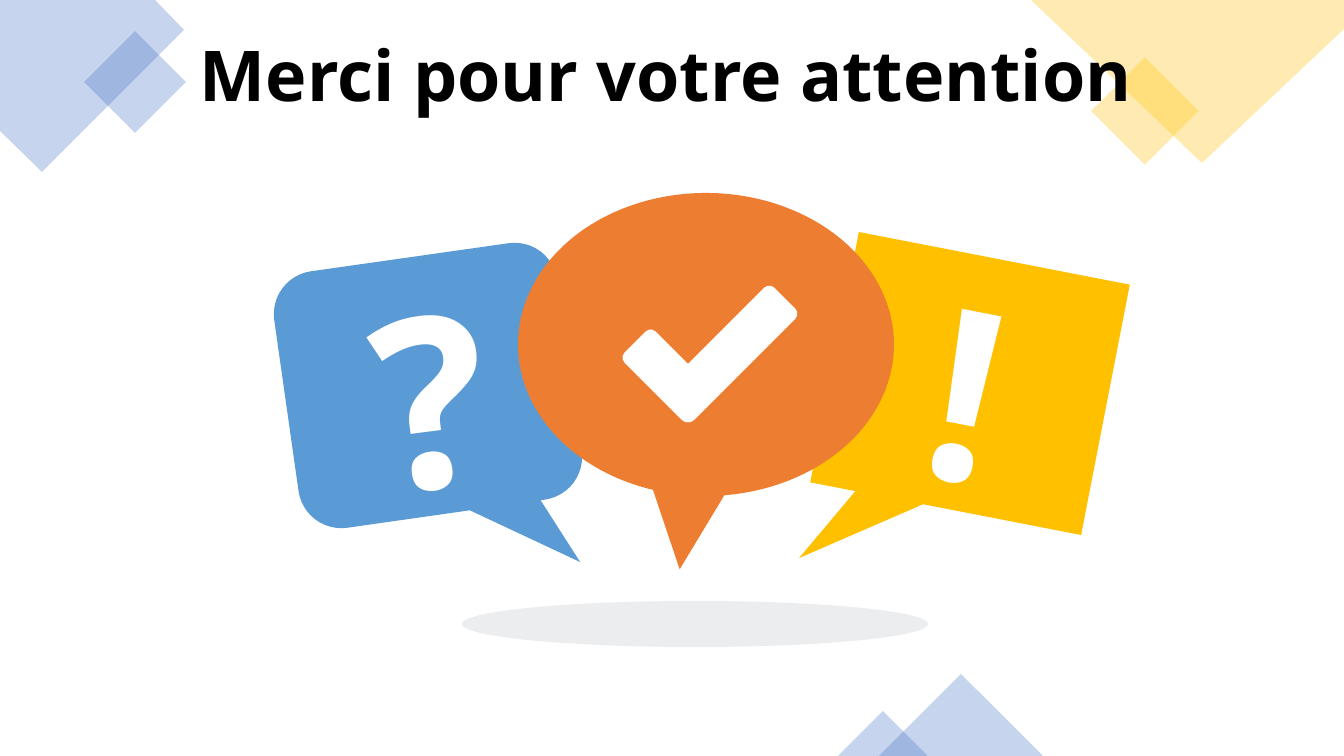
from dataclasses import dataclass

from pptx import Presentation
from pptx.dml.color import RGBColor
from pptx.enum.shapes import MSO_SHAPE as Preset
from pptx.enum.text import MSO_ANCHOR as Anchor, MSO_AUTO_SIZE as AutoSize, PP_ALIGN as Align
from pptx.oxml.xmlchemy import OxmlElement
from pptx.util import Pt

PX = 914400 / 100.8


@dataclass(frozen=True)
class Theme:
    font: str = "Noto Sans"
    title_size: int = 50
    mark_size: int = 170
    ink: str = "000000"
    white: str = "FFFFFF"
    navy: str = "4472C4"
    gold: str = "FFC000"
    sky: str = "5B9BD5"
    orange: str = "ED7D31"
    slate: str = "44546A"


THEME = Theme()


def emu(*lengths):
    return [round(length * PX) for length in lengths]


def paint(shape, color, opacity=100):
    """Give a shape a plain fill, with no line and no shadow."""
    shape.shadow.inherit = False
    shape.line.fill.background()
    shape.fill.solid()
    shape.fill.fore_color.rgb = RGBColor.from_string(color)
    if opacity < 100:
        alpha = OxmlElement("a:alpha")
        alpha.set("val", str(opacity * 1000))
        shape.fill._xPr.find(".//{*}srgbClr").append(alpha)


def add_preset(shapes, preset, box, color, opacity=100, rotation=0, adjustments=()):
    shape = shapes.add_shape(preset, *emu(*box))
    paint(shape, color, opacity)
    shape.rotation = rotation
    for index, value in enumerate(adjustments):
        shape.adjustments[index] = value
    return shape


def add_outline(shapes, origin, points, color, opacity):
    builder = shapes.build_freeform(*points[0], scale=PX)
    builder.add_line_segments(points[1:], close=True)
    paint(builder.convert_to_shape(*emu(*origin)), color, opacity)


def write(shape, text, size, color):
    frame = shape.text_frame
    frame_format = {"word_wrap": True, "auto_size": AutoSize.NONE, "vertical_anchor": Anchor.MIDDLE}
    for name, value in frame_format.items():
        setattr(frame, name, value)
    para = frame.paragraphs[0]
    para.alignment = Align.CENTER
    span = para.add_run()
    span.text = text
    for name, value in {"name": THEME.font, "size": Pt(size), "bold": True}.items():
        setattr(span.font, name, value)
    span.font.color.rgb = RGBColor.from_string(color)


def add_corner(shapes, box, outline, square, color):
    """Place a cut-off diamond and a small tilted square in a corner."""
    left, top = box
    dx, dy, side = square
    add_outline(shapes, box, outline, color, 30)
    add_preset(shapes, Preset.RECTANGLE, (left + dx, top + dy, side, side), color, 30, 315)


def add_peaks(shapes, box):
    left, top, width, height = box
    for dx, peak_width, peak_height in ((41, 164, 82), (0, 90, 45)):
        peak = (left + dx, top + height - peak_height, peak_width, peak_height)
        add_preset(shapes, Preset.ISOSCELES_TRIANGLE, peak, THEME.navy, 30)


def add_check(shapes, box):
    left, top = box
    group = shapes.add_group_shape()
    for dx, dy, length, angle in ((0, 22, 96, 45), (29, 0, 158, 135)):
        bar = (left + dx, top + dy, length, 44)
        add_preset(group.shapes, Preset.ROUNDED_RECTANGLE, bar, THEME.white, rotation=angle)


def add_mark(shapes, box, text, rotation):
    mark = shapes.add_textbox(*emu(*box))
    mark.rotation = rotation
    write(mark, text, THEME.mark_size, THEME.white)


def add_bubbles(shapes, box):
    """Place the three speech bubbles, their signs and the ground shadow."""
    left, top = box
    bubbles = (
        (Preset.ROUNDED_RECTANGULAR_CALLOUT, (0, 63, 286, 259), THEME.sky, 351.9, (0.44, 0.758, 0.167)),
        (Preset.RECTANGULAR_CALLOUT, (547, 63, 276, 255), THEME.gold, 11, (-0.487, 0.8)),
        (Preset.OVAL_CALLOUT, (233, 0, 376, 303), THEME.orange, 0, (-0.07, 0.742)),
    )
    for preset, (dx, dy, width, height), color, angle, tail in bubbles:
        bubble = (left + dx, top + dy, width, height)
        add_preset(shapes, preset, bubble, color, rotation=angle, adjustments=tail)
    add_check(shapes, (left + 336, top + 139))
    for text, dx, dy, angle in (("!", 542, 44, 10.9), ("?", 4, 51, 352.6)):
        add_mark(shapes, (left + dx, top + dy, 283, 298), text, angle)
    add_preset(shapes, Preset.OVAL, (left + 177, top + 408, 466, 46), THEME.slate, 10)


def place_title(page, box, text):
    title = page.shapes.title
    for name, value in zip(("left", "top", "width", "height"), emu(*box)):
        setattr(title, name, value)
    write(title, text, THEME.title_size, THEME.ink)
    title.element.getparent().append(title.element)


def build_closing_page(deck):
    page = deck.slides.add_slide(deck.slide_layouts[5])
    shapes = page.shapes
    add_corner(shapes, (0, 0), ((0, 0), (155, 0), (184, 30), (42, 172), (0, 131)),
               (99, 46, 72), THEME.navy)
    add_corner(shapes, (1031, 0), ((0, 0), (313, 0), (313, 29), (171, 163)),
               (76, 73, 76), THEME.gold)
    add_peaks(shapes, (838, 674, 205, 82))
    add_bubbles(shapes, (285, 193))
    place_title(page, (133, 26, 1066, 95), "Merci pour votre attention")


def main():
    deck = Presentation()
    deck.slide_width, deck.slide_height = emu(1344, 756)
    build_closing_page(deck)
    deck.save("out.pptx")


if __name__ == "__main__":
    main()
